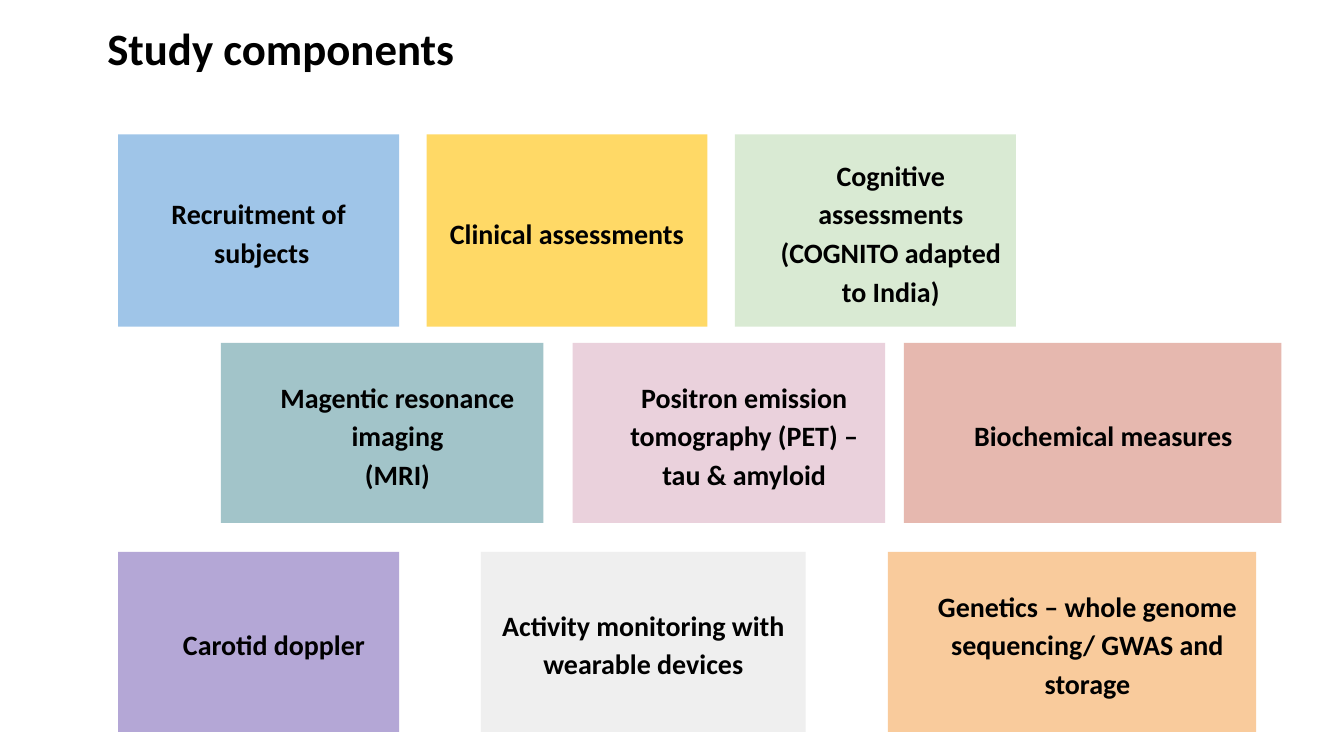
from pptx import Presentation
from pptx.dml.color import RGBColor
from pptx.enum.shapes import MSO_SHAPE
from pptx.enum.text import MSO_ANCHOR, MSO_AUTO_SIZE, PP_ALIGN
from pptx.util import Pt

HEX = {
    "black": "000000", "blue": "9FC5E8", "gold": "FFD966",
    "green": "D9EAD3", "teal": "A2C4C9", "pink": "EAD1DC",
    "red": "E6B8AF", "violet": "B4A7D6", "grey": "EFEFEF",
    "orange": "F9CB9C",
}


def set_frame(frame):
    frame.word_wrap = True
    frame.auto_size = MSO_AUTO_SIZE.NONE
    frame.vertical_anchor = MSO_ANCHOR.MIDDLE
    frame.margin_left = frame.margin_right = Pt(6.5)
    frame.margin_top = frame.margin_bottom = Pt(6.5)


def add_run(para, text, size):
    run = para.add_run()
    run.text = text
    font = run.font
    font.name, font.size, font.bold = "Calibri", Pt(size), True
    font.color.rgb = RGBColor.from_string(HEX["black"])


prs = Presentation()
prs.slide_width, prs.slide_height = Pt(720), Pt(405)
slide = prs.slides.add_slide(prs.slide_layouts[5])

# Title
title = slide.shapes.title
title.left, title.top, title.width, title.height = Pt(51), Pt(5), Pt(325), Pt(41)
set_frame(title.text_frame)
para = title.text_frame.paragraphs[0]
para.alignment = PP_ALIGN.LEFT
add_run(para, "Study components", 24)

# Rows: top, height, boxes of (left, width, colour, margin, first indent, lines)
rows = [
    (72, 103, [
        (63.3, 150.5, "blue", 0, 0, ["Recruitment of", " subjects"]),
        (228.5, 150.5, "gold", 0, 0, ["Clinical assessments"]),
        (393.7, 150.5, "green", 16.5, 0,
         ["Cognitive assessments", "(COGNITO adapted to India)"]),
    ]),
    (183.7, 96.5, [
        (118.3, 172.8, "teal", 16.5, 0, ["Magentic resonance imaging", "(MRI)"]),
        (306.7, 167.5, "pink", 16.5, 0,
         ["Positron emission tomography (PET) – tau & amyloid"]),
        (484.2, 202.3, "red", 16.5, -5, ["Biochemical measures"]),
    ]),
    (295.7, 96.5, [
        (63.3, 150.5, "violet", 16.5, 0, ["Carotid doppler"]),
        (257.7, 174, "grey", 0, 0, ["Activity monitoring with wearable devices"]),
        (475.7, 197.2, "orange", 16.5, 0,
         ["Genetics – whole genome sequencing/ GWAS and storage"]),
    ]),
]

# Component boxes
for top, height, boxes in rows:
    for left, width, hue, margin, indent, lines in boxes:
        box = slide.shapes.add_shape(
            MSO_SHAPE.RECTANGLE, Pt(left), Pt(top), Pt(width), Pt(height))
        box.shadow.inherit = False
        box.fill.solid()
        box.fill.fore_color.rgb = RGBColor.from_string(HEX[hue])
        box.line.fill.background()
        frame = box.text_frame
        set_frame(frame)
        for i, line in enumerate(lines):
            para = frame.add_paragraph() if i else frame.paragraphs[0]
            para.alignment = PP_ALIGN.CENTER
            para.line_spacing = 1.15
            props = para._p.get_or_add_pPr()
            props.set("marL", str(Pt(margin)))
            props.set("indent", str(Pt(indent)))
            add_run(para, line, 15)

prs.save("out.pptx")
